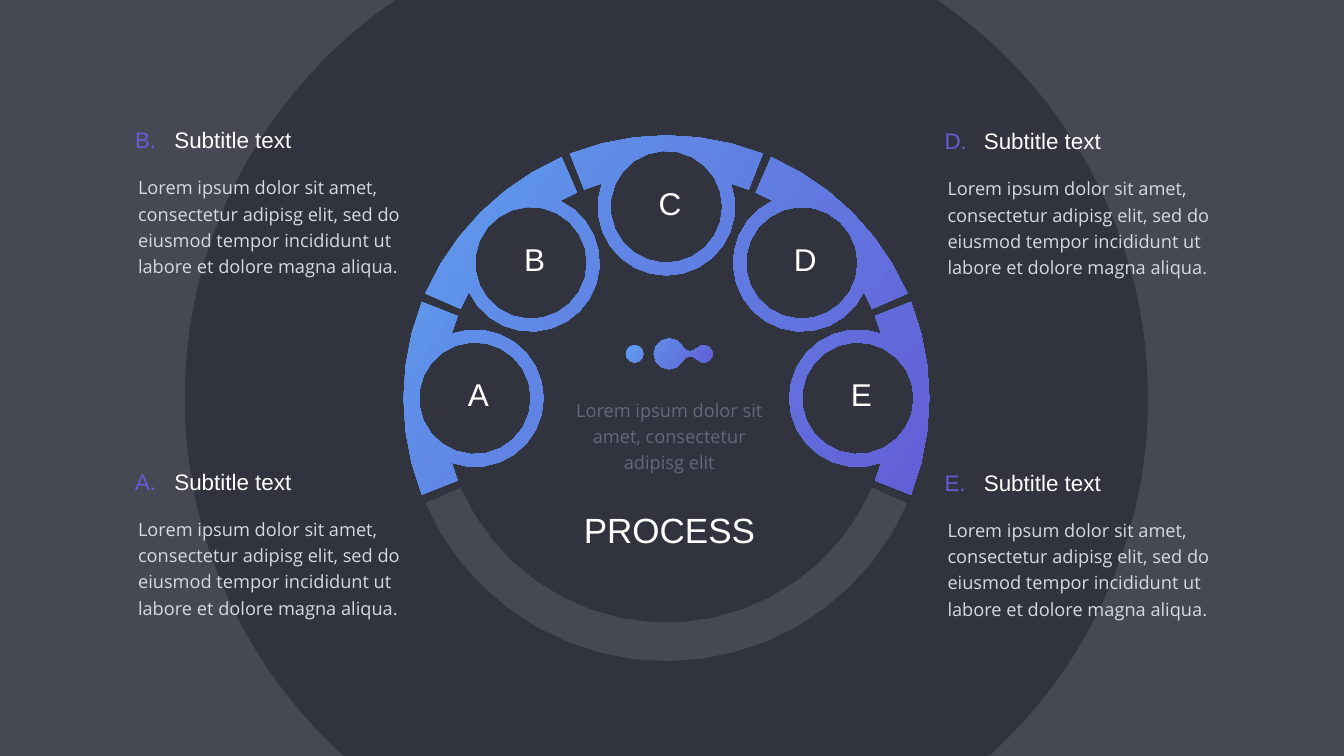
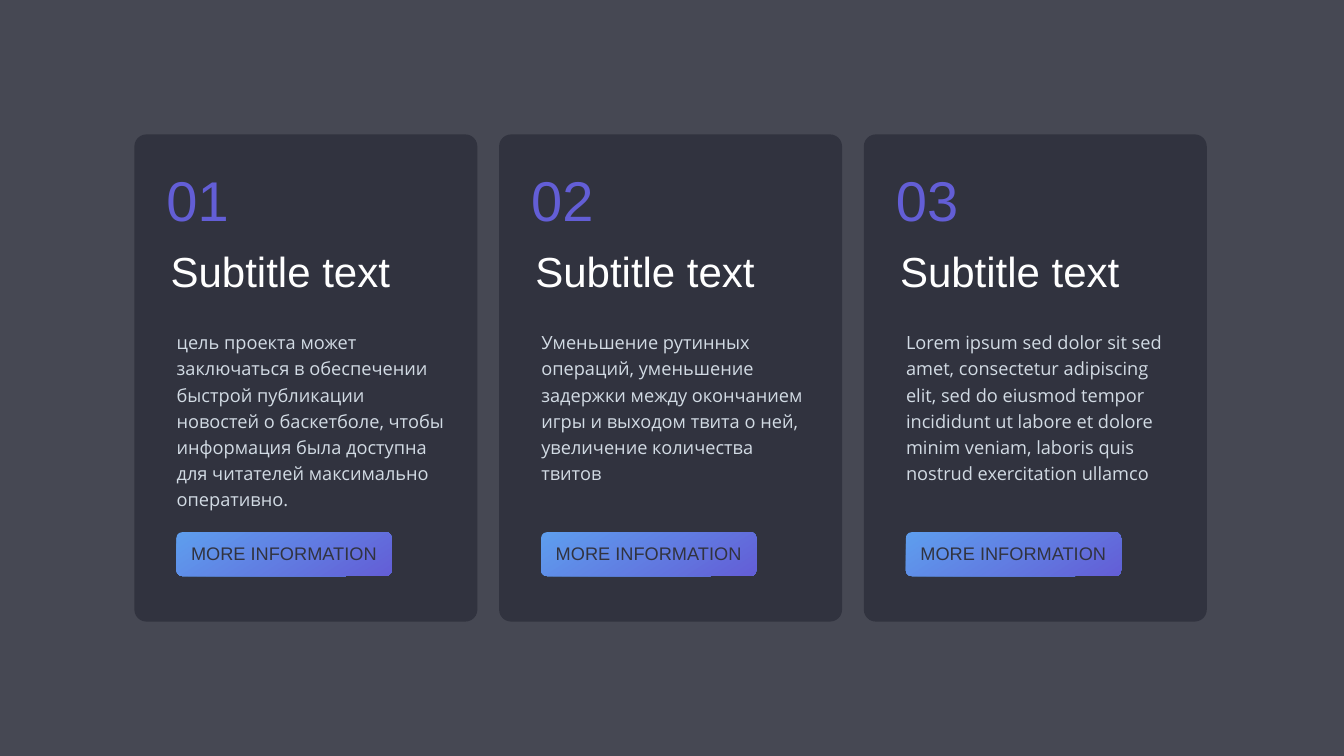
from dataclasses import dataclass
from math import acos, atan2, ceil, cos, degrees, radians, sin

from pptx import Presentation
from pptx.dml.color import RGBColor
from pptx.enum.shapes import MSO_SHAPE as Preset
from pptx.enum.text import MSO_ANCHOR as Anchor, MSO_AUTO_SIZE as AutoSize, PP_ALIGN as Align
from pptx.util import Pt

LOREM = ("Lorem ipsum dolor sit amet, consectetur adipisg elit, sed do eiusmod "
         "tempor incididunt ut labore et dolore magna aliqua.")
PROCESS_TITLE = "PROCESS"
PROCESS_SUMMARY = "Lorem ipsum dolor sit amet, consectetur adipisg elit"
PROCESS_STEPS = "ABCDE"
PROCESS_NOTES = [
    ("D.", "Subtitle text", LOREM, (1345, 178)),
    ("E.", "Subtitle text", LOREM, (1345, 666)),
    ("B.", "Subtitle text", LOREM, (188.6, 176.5)),
    ("A.", "Subtitle text", LOREM, (188.6, 664.5)),
]
CARDS = [
    ("01", "Subtitle text", "цель проекта может заключаться в обеспечении быстрой "
     "публикации новостей о баскетболе, чтобы информация была доступна для читателей "
     "максимально оперативно.", 270),
    ("02", "Subtitle text", "Уменьшение рутинных операций, уменьшение задержки между "
     "окончанием игры и выходом твита о ней, увеличение количества твитов", 232.5),
    ("03", "Subtitle text", "Lorem ipsum sed dolor sit sed amet, consectetur adipiscing "
     "elit, sed do eiusmod tempor incididunt ut labore et dolore minim veniam, laboris "
     "quis nostrud exercitation ullamco", 260),
]
BUTTON_LABEL = "MORE INFORMATION"


@dataclass(frozen=True)
class Style:
    size: float
    color: str
    font: str = "Arial"
    spacing: float = 1.0


class Theme:
    back, panel = "464853", "31333F"
    blue, violet = "5E9EEE", "635ED6"
    inset = 4.32
    title = Style(50, "FFFFFF")
    step = Style(45, "FFFFFF")
    mark = Style(32, violet)
    note_head = Style(32, "FFFFFF")
    card_number = Style(80, violet)
    card_head = Style(60, "FFFFFF")
    button = Style(26, panel)
    body = Style(26, "D2DBE4", "Open Sans", 1.2)
    summary = Style(26, "646979", "Open Sans", 1.2)


RING_CENTER = (952, 569)
RING_OUTER, RING_INNER = 375.5, 320.5
NODE_ORBIT, NODE_OUTER, NODE_HOLE = 273.5, 98, 80
STEP_TURN, HALF_STEP, HALF_GAP = 45, 22.5, 1
ARC_TOLERANCE, ARC_MAX_TURN = 0.8, 30

CARD_LEFT, CARD_TOP, CARD_PITCH = 192, 192, 521


def rgb(color):
    return RGBColor.from_string(color)


def paint(shape, color=None, angle=None):
    shape.shadow.inherit = False
    shape.line.fill.background()
    if color:
        shape.fill.solid()
        shape.fill.fore_color.rgb = rgb(color)
    else:
        shape.fill.gradient()
        shape.fill.gradient_angle = 360 - angle
        for stop, tint in zip(shape.fill.gradient_stops, (Theme.blue, Theme.violet)):
            stop.color.rgb = rgb(tint)


def add_preset(slide, preset, box, color=None, angle=None, corner=None):
    shape = slide.shapes.add_shape(preset, *map(Pt, box))
    if corner:
        shape.adjustments[0] = corner
    paint(shape, color, angle)


def set_text(holder, words, style, align=Align.LEFT, anchor=Anchor.MIDDLE):
    frame = holder.text_frame
    frame.word_wrap = True
    frame.auto_size = AutoSize.SHAPE_TO_FIT_TEXT
    frame.vertical_anchor = anchor
    frame.margin_left = frame.margin_right = Pt(Theme.inset)
    frame.margin_top = frame.margin_bottom = Pt(Theme.inset)
    paragraph = frame.paragraphs[0]
    paragraph.text = words
    paragraph.alignment = align
    paragraph.line_spacing = style.spacing
    paragraph.font.name = style.font
    paragraph.font.size = Pt(style.size)
    paragraph.font.color.rgb = rgb(style.color)


def add_text(slide, box, words, style, align=Align.LEFT, anchor=Anchor.MIDDLE):
    set_text(slide.shapes.add_textbox(*map(Pt, box)), words, style, align, anchor)


def polar(center, radius, angle):
    return (center[0] + radius * cos(radians(angle)),
            center[1] + radius * sin(radians(angle)))


def arc(center, radius, start, end):
    turn = min(ARC_MAX_TURN, 2 * degrees(acos(1 - ARC_TOLERANCE / radius)))
    count = ceil(abs(end - start) / turn)
    return [polar(center, radius, start + (end - start) * i / count)
            for i in range(count + 1)]


def circle(center, radius):
    return arc(center, radius, 0, 360)[:-1]


def add_outline(slide, contours, color=None, angle=None):
    builder = None
    for contour in contours:
        start, *rest = [(Pt(x), Pt(y)) for x, y in contour]
        if builder is None:
            builder = slide.shapes.build_freeform(*start)
        else:
            builder.move_to(*start)
        builder.add_line_segments(rest, close=True)
    paint(builder.convert_to_shape(), color, angle)


def step_contours(middle):
    node = polar(RING_CENTER, NODE_ORBIT, middle)
    half = HALF_STEP - HALF_GAP
    join = degrees(acos((RING_INNER ** 2 + NODE_ORBIT ** 2 - NODE_OUTER ** 2)
                        / (2 * RING_INNER * NODE_ORBIT)))
    joint_x, joint_y = polar((-NODE_ORBIT, 0), RING_INNER, join)
    turn = degrees(atan2(joint_y, joint_x))
    band = (arc(RING_CENTER, RING_OUTER, middle - half, middle + half)
            + [polar(RING_CENTER, RING_INNER, middle + half)]
            + arc(node, NODE_OUTER, middle + turn, middle + 360 - turn)
            + [polar(RING_CENTER, RING_INNER, middle - half)])
    return [band, circle(node, NODE_HOLE)]


def droplet_contours():
    axis = 505.5
    droplet = (arc((956, axis), 22, 30, 330)
               + arc((986, axis - 15.5), 12, 154, 38)
               + arc((1005.5, axis), 12.3, 225, 495)
               + arc((986, axis + 15.5), 12, 322, 206))
    return [droplet, circle((906.5, axis), 12.5)]


def build_process(deck):
    slide = deck.slides.add_slide(deck.slide_layouts.get_by_name("Title Only"))
    add_preset(slide, Preset.OVAL, (264, -119, 1376, 1376), Theme.panel)

    edge = HALF_STEP + HALF_GAP
    add_outline(slide, [arc(RING_CENTER, RING_OUTER, edge, 180 - edge)
                        + arc(RING_CENTER, RING_INNER, 180 - edge, edge)], Theme.back)
    middles = [180 + STEP_TURN * i for i in range(len(PROCESS_STEPS))]
    add_outline(slide, [c for middle in middles for c in step_contours(middle)], angle=34)
    for letter, middle in zip(PROCESS_STEPS, middles):
        x, y = polar(RING_CENTER, NODE_ORBIT, middle)
        add_text(slide, (x - 29, y - 36, 68, 60), letter, Theme.step, Align.CENTER)

    title = slide.shapes.title
    title.left, title.top, title.width, title.height = map(Pt, (773.5, 723.5, 366, 67))
    set_text(title, PROCESS_TITLE, Theme.title, Align.CENTER)
    title._element.getparent().append(title._element)

    add_outline(slide, droplet_contours(), angle=34)
    add_text(slide, (805, 560, 302.5, 130.5), PROCESS_SUMMARY, Theme.summary,
             Align.CENTER, Anchor.TOP)

    for mark, head, body, (left, top) in PROCESS_NOTES:
        add_text(slide, (left, top, 50, 47), mark, Theme.mark)
        add_text(slide, (left + 4.3, top + 65.3, 394, 173.5), body, Theme.body,
                 anchor=Anchor.TOP)
        add_text(slide, (left + 56.2, top, 238, 46), head, Theme.note_head)


def build_cards(deck):
    slide = deck.slides.add_slide(deck.slide_layouts.get_by_name("Blank"))
    for i, (number, head, body, body_height) in enumerate(CARDS):
        left = CARD_LEFT + i * CARD_PITCH
        add_preset(slide, Preset.ROUNDED_RECTANGLE, (left, CARD_TOP, 490, 696),
                   Theme.panel, corner=0.035)
        add_text(slide, (left + 47.5, 346.5, 395, 79), head, Theme.card_head)
        add_text(slide, (left + 56, 463, 392, body_height), body, Theme.body,
                 anchor=Anchor.TOP)
        add_text(slide, (left + 41.5, 232.5, 170.5, 105), number, Theme.card_number)
        add_preset(slide, Preset.ROUNDED_RECTANGLE, (left + 60, 760.3, 307.5, 62.6),
                   angle=57, corner=0.132)
        add_text(slide, (left + 63, 771, 301.5, 38), BUTTON_LABEL, Theme.button,
                 Align.CENTER)


def main():
    deck = Presentation()
    deck.slide_width, deck.slide_height = Pt(1920), Pt(1080)
    backdrop = deck.slide_master.background.fill
    backdrop.solid()
    backdrop.fore_color.rgb = rgb(Theme.back)
    build_process(deck)
    build_cards(deck)
    deck.save("out.pptx")


if __name__ == "__main__":
    main()
